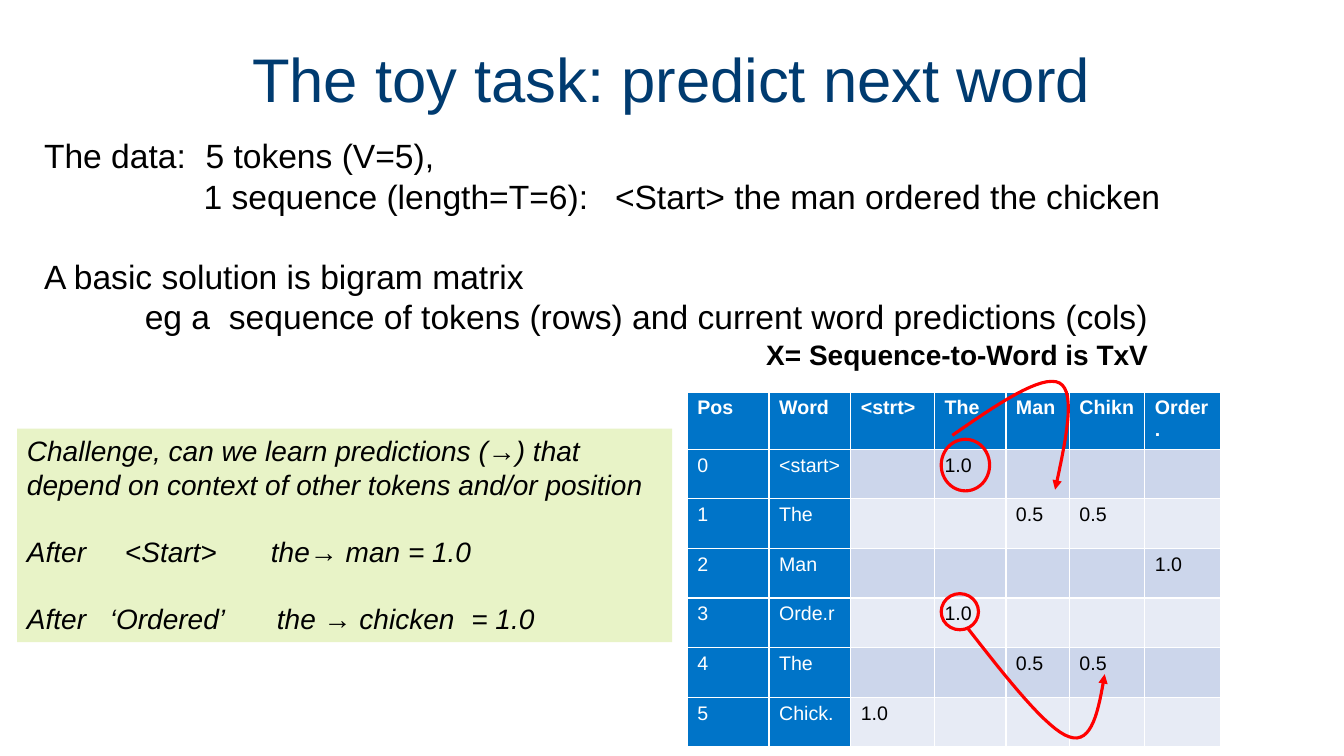
from lxml.etree import SubElement
from pptx import Presentation
from pptx.dml.color import RGBColor
from pptx.enum.shapes import MSO_SHAPE
from pptx.enum.text import MSO_ANCHOR, PP_ALIGN
from pptx.oxml.ns import qn
from pptx.util import Cm, Pt

BLUE, NAVY, RED = "0074C8", "003B70", "FF0000"
BLACK, WHITE, LIME = "000000", "FFFFFF", "E8F3C7"
ROW_TINTS = ("CCD6EB", "E7EBF5")

HEADINGS = ("Pos", "Word", "<strt>", "The", "Man", "Chikn", "Order.")
COLUMN_WIDTHS = (2.06, 2.06, 2.11, 1.8, 1.6, 1.9, 1.9)
ROW_HEIGHT = 1.25
WORDS = ("<start>", "The", "Man", "Orde.r", "The", "Chick.")
PREDICTIONS = (
    {"The": "1.0"},
    {"Man": "0.5", "Chikn": "0.5"},
    {"Order.": "1.0"},
    {"The": "1.0"},
    {"Man": "0.5", "Chikn": "0.5"},
    {"<strt>": "1.0"},
)

DATA_LINES = (
    ("The data:\t5 tokens (V=5),", 0, (4.07,)),
    ("\t1 sequence (length=T=6):\t<Start> the man ordered the chicken", 0, (4.02, 14.39)),
    ("A basic solution is bigram matrix", 28.8, ()),
    ("\teg a\tsequence of tokens (rows) and current word predictions (cols)", 0, (2.54, 4.66)),
)
CHALLENGE_LINES = (
    ("Challenge, can we learn predictions (→) that depend on context of "
     "other tokens and/or position", 0, ()),
    ("After\t<Start>\tthe→ man = 1.0", 24, (2.47, 6.15)),
    ("After\t‘Ordered’\tthe → chicken\t= 1.0", 24, (2.09, 6.3, 11.2)),
)


def color(hex_code):
    return RGBColor.from_string(hex_code)


def style(paragraph, size, hex_code, bold=False, italic=False):
    font = paragraph.font
    font.name, font.size = "Arial", Pt(size)
    font.bold, font.italic = bold, italic
    font.color.rgb = color(hex_code)


def add_tabs(paragraph, stops):
    tab_list = SubElement(paragraph._p.get_or_add_pPr(), qn("a:tabLst"))
    for stop in stops:
        SubElement(tab_list, qn("a:tab"), pos=str(Cm(stop)), algn="l")


def add_text(slide, box, lines, size, hex_code=BLACK, fill=None, bold=False, italic=False):
    panel = slide.shapes.add_textbox(*map(Cm, box))
    if fill:
        panel.fill.solid()
        panel.fill.fore_color.rgb = color(fill)
    frame = panel.text_frame
    frame.word_wrap = True
    for index, (text, gap, stops) in enumerate(lines):
        paragraph = frame.add_paragraph() if index else frame.paragraphs[0]
        paragraph.text = text
        if gap:
            paragraph.space_before = Pt(gap)
        if stops:
            add_tabs(paragraph, stops)
        style(paragraph, size, hex_code, bold, italic)
    return frame


def add_title(slide, text):
    frame = add_text(slide, (2.33, 0.25, 29.2, 3.68), [(text, 0, ())], 44, NAVY)
    frame.vertical_anchor = MSO_ANCHOR.MIDDLE
    frame.paragraphs[0].alignment = PP_ALIGN.CENTER
    frame.paragraphs[0].line_spacing = 0.9


def fill_cell(cell, text, fill, hex_code, bold=False):
    cell.fill.solid()
    cell.fill.fore_color.rgb = color(fill)
    cell.text = text
    style(cell.text_frame.paragraphs[0], 14, hex_code, bold)


def add_bigram_table(slide):
    row_count = len(WORDS) + 1
    bigrams = slide.shapes.add_table(
        row_count, len(HEADINGS), Cm(17.32), Cm(9.88),
        Cm(sum(COLUMN_WIDTHS)), Cm(ROW_HEIGHT * row_count)).table
    for column, width in zip(bigrams.columns, COLUMN_WIDTHS):
        column.width = Cm(width)
    for index, heading in enumerate(HEADINGS):
        fill_cell(bigrams.cell(0, index), heading, BLUE, WHITE, bold=True)
    for position, (word, chances) in enumerate(zip(WORDS, PREDICTIONS)):
        row = position + 1
        fill_cell(bigrams.cell(row, 0), str(position), BLUE, WHITE)
        fill_cell(bigrams.cell(row, 1), word, BLUE, WHITE)
        for index, heading in enumerate(HEADINGS[2:], start=2):
            fill_cell(bigrams.cell(row, index), chances.get(heading, ""),
                      ROW_TINTS[position % 2], BLACK)


def outline_red(mark):
    mark.shadow.inherit = False
    mark.fill.background()
    mark.line.color.rgb = color(RED)
    mark.line.width = Pt(2.25)


def add_ring(slide, box):
    outline_red(slide.shapes.add_shape(MSO_SHAPE.OVAL, *map(Cm, box)))


def bezier_points(start, control_1, control_2, end, steps=16):
    for step in range(1, steps + 1):
        t = step / steps
        weights = ((1 - t) ** 3, 3 * t * (1 - t) ** 2, 3 * t ** 2 * (1 - t), t ** 3)
        yield tuple(
            Cm(sum(weight * value for weight, value in zip(weights, values)))
            for values in zip(start, control_1, control_2, end))


def add_curved_arrow(slide, start, *curves):
    builder = slide.shapes.build_freeform(Cm(start[0]), Cm(start[1]))
    for control_1, control_2, end in curves:
        builder.add_line_segments(bezier_points(start, control_1, control_2, end), close=False)
        start = end
    arrow = builder.convert_to_shape()
    outline_red(arrow)
    SubElement(arrow.line._get_or_add_ln(), qn("a:tailEnd"), type="triangle")


def main():
    deck = Presentation()
    deck.slide_width, deck.slide_height = Cm(33.87), Cm(19.05)
    slide = deck.slides.add_slide(deck.slide_layouts[6])

    add_text(slide, (0.86, 3.28, 31.24, 5.38), DATA_LINES, 24)
    add_bigram_table(slide)
    add_text(slide, (19.06, 8.38, 11.3, 1.12),
             [("X= Sequence-to-Word is TxV", 0, ())], 20, bold=True)
    add_title(slide, "The toy task: predict next word")
    add_text(slide, (0.43, 10.8, 16.51, 5.38), CHALLENGE_LINES, 20, fill=LIME, italic=True)

    add_ring(slide, (23.72, 11.07, 1.22, 1.3))
    add_curved_arrow(slide, (24, 10.97),
                     ((25.12, 10.19), (26.26, 9.42), (26.7, 9.65)),
                     ((27.13, 9.88), (26.85, 11.13), (26.59, 12.34)))
    add_ring(slide, (23.72, 14.96, 0.94, 0.91))
    add_curved_arrow(slide, (24.38, 15.82),
                     ((25.37, 17.09), (26.39, 18.39), (26.95, 18.57)),
                     ((27.53, 18.77), (27.69, 17.88), (27.84, 16.99)))

    deck.save("out.pptx")


if __name__ == "__main__":
    main()
